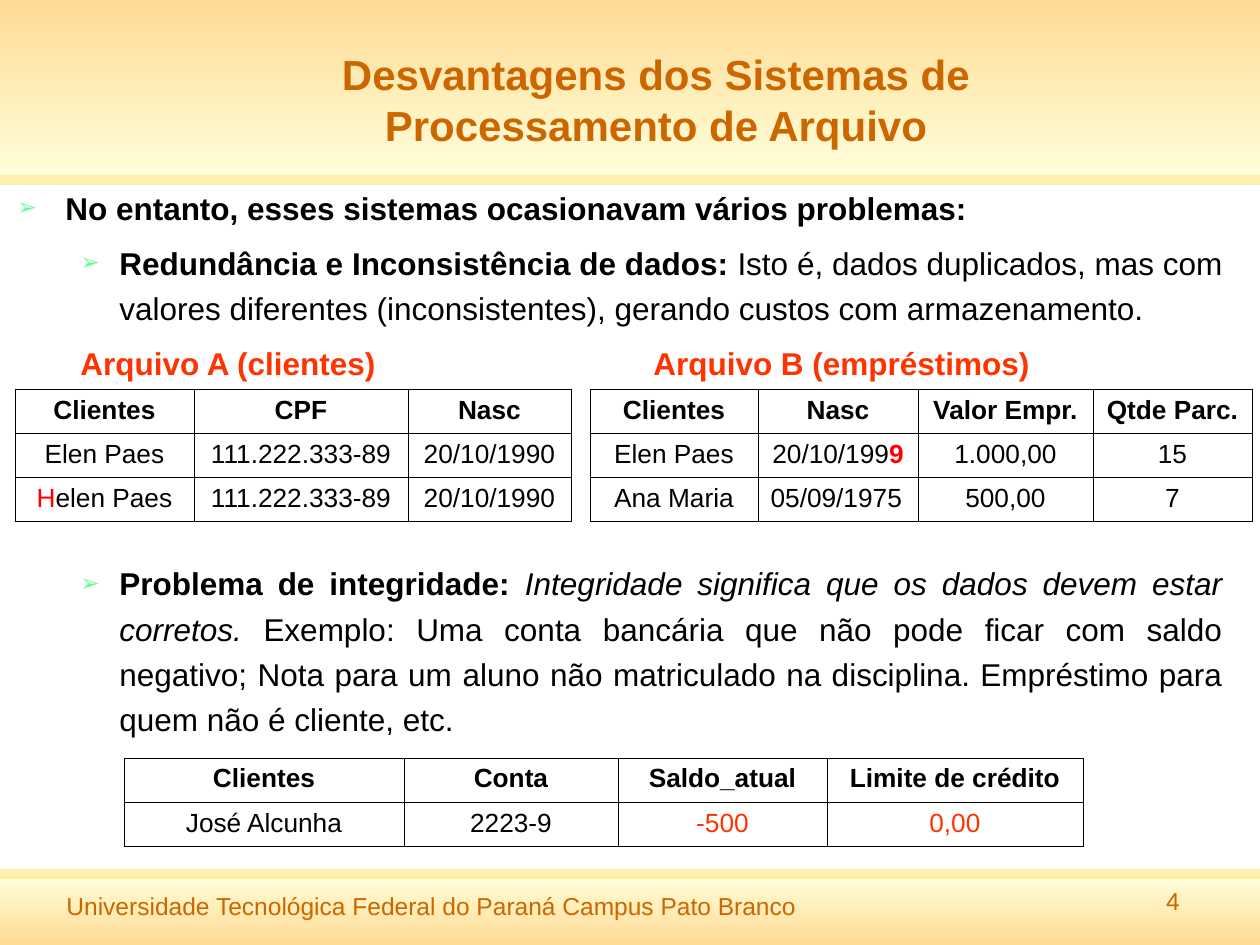
from lxml import etree
from pptx import Presentation
from pptx import util as u
from pptx.dml.color import RGBColor
from pptx.enum import shapes, text
from pptx.oxml.ns import qn

PX = 914400 / 126
FONT = "Arial"
BLACK, BROWN, RED, ORANGE, MINT = "000000", "CC6600", "FF0000", "FF3300", "66FF99"
LEFT, CENTER = text.PP_ALIGN.LEFT, text.PP_ALIGN.CENTER
RIGHT, JUSTIFY = text.PP_ALIGN.RIGHT, text.PP_ALIGN.JUSTIFY

BANDS = [
    ((0, 876, 1260, 69), ["FFFFCC", "FFCC66"], 70),
    ((0, 0, 1260, 175), ["FFCC66", "FFFFCC"], 70),
    ((0, 175, 1260, 10), ["FFCC00"], 31),
    ((0, 869, 1260, 10), ["FFCC00"], 30),
]
LABELS = [
    ((54, 885, 853, 43), "Universidade Tecnológica Federal do Paraná Campus Pato Branco",
     14, False, LEFT, text.MSO_ANCHOR.TOP),
    ((898, 880, 294, 65), "4", 14, False, RIGHT, text.MSO_ANCHOR.TOP),
    ((164, 20, 984, 158), "Desvantagens dos Sistemas de\vProcessamento de Arquivo",
     24, True, CENTER, text.MSO_ANCHOR.MIDDLE),
]
BODY_BOX = (5, 175, 1230, 704)
BODY = [
    (48, -48, True, 5.5, [("No entanto, esses sistemas ocasionavam vários problemas:", "b", BLACK)]),
    (102, -39, True, 5.5, [
        ("Redundância e Inconsistência de dados:", "b", BLACK),
        (" Isto é, dados duplicados, mas com valores diferentes (inconsistentes), "
         "gerando custos com armazenamento.", "", BLACK)]),
    (102, -39, False, 5.5, [("Arquivo A (clientes)", "b", ORANGE)]),
    (102, -39, True, 100, [
        ("Problema de integridade: ", "b", BLACK),
        ("Integridade significa que os dados devem estar corretos. ", "i", BLACK),
        ("Exemplo: Uma conta bancária que não pode ficar com saldo negativo; "
         "Nota para um aluno não matriculado na disciplina. "
         "Empréstimo para quem não é cliente, etc.", "", BLACK)]),
]
LOANS_BOX = (641, 330, 500, 60)
LOANS_CAPTION = [(0, 0, False, 0, [("Arquivo B (empréstimos)", "b", ORANGE)])]

ROW_HEIGHT = 44
TABLES = [
    ((15, 389), [179, 214, 163], [
        ["Clientes", "CPF", "Nasc"],
        ["Elen Paes", "111.222.333-89", "20/10/1990"],
        [[("H", "", RED), ("elen Paes", "", BLACK)], "111.222.333-89", "20/10/1990"]]),
    ((124, 758), [280, 214, 209, 256], [
        ["Clientes", "Conta", "Saldo_atual", "Limite de crédito"],
        ["José Alcunha", "2223-9", [("-500", "", ORANGE)], [("0,00", "", ORANGE)]]]),
    ((590, 389), [168, 160, 175, 159], [
        ["Clientes", "Nasc", "Valor Empr.", "Qtde Parc."],
        ["Elen Paes", [("20/10/199", "", BLACK), ("9", "b", RED)], "1.000,00", "15"],
        ["Ana Maria", "05/09/1975", "500,00", "7"]]),
]
LEFT_ALIGNED = {"05/09/1975"}


def px(value):
    return u.Emu(round(value * PX))


def color(value):
    return RGBColor.from_string(value)


def add_node(parent, tag, **attributes):
    return etree.SubElement(parent, qn(tag), attributes)


def style(span, size, marks, tint):
    span.font.name = FONT
    span.font.size = u.Pt(size)
    span.font.bold = "b" in marks
    span.font.italic = "i" in marks
    span.font.color.rgb = color(tint)


def write(para, spans, size):
    for words, marks, tint in spans:
        span = para.add_run()
        span.text = words
        style(span, size, marks, tint)


def add_band(page, place, tints, opacity):
    band = page.shapes.add_shape(shapes.MSO_SHAPE.RECTANGLE, *map(px, place))
    band.shadow.inherit = False
    band.line.fill.background()
    if len(tints) == 1:
        band.fill.solid()
        band.fill.fore_color.rgb = color(tints[0])
    else:
        band.fill.gradient()
        band.fill.gradient_angle = 270
        for stop, tint, position in zip(band.fill.gradient_stops, tints, (0, 1)):
            stop.color.rgb = color(tint)
            stop.position = position
    for node in band.fill._xPr.iter(qn("a:srgbClr")):
        add_node(node, "a:alpha", val=str(opacity * 1000))


def add_box(page, place):
    box = page.shapes.add_textbox(*map(px, place))
    box.text_frame.word_wrap = True
    return box.text_frame


def add_label(page, place, words, size, bold, align, anchor):
    frame = add_box(page, place)
    frame.vertical_anchor = anchor
    para = frame.paragraphs[0]
    para.text = words
    para.alignment = align
    for span in para.runs:
        style(span, size, "b" if bold else "", BROWN)


def add_body(page, place, paragraphs):
    frame = add_box(page, place)
    for index, (margin, indent, bullet, before, spans) in enumerate(paragraphs):
        para = frame.add_paragraph() if index else frame.paragraphs[0]
        para.alignment = JUSTIFY
        para.line_spacing = 1.2
        para.space_before = u.Pt(before)
        properties = para._p.get_or_add_pPr()
        properties.set("marL", str(px(margin)))
        properties.set("indent", str(px(indent)))
        if bullet:
            add_node(add_node(properties, "a:buClr"), "a:srgbClr", val=MINT)
            add_node(properties, "a:buSzPct", val="75000")
            add_node(properties, "a:buFont", typeface=FONT)
            add_node(properties, "a:buChar", char="➢")
        else:
            add_node(properties, "a:buNone")
        write(para, spans, 18)


def add_borders(cell):
    properties = cell._tc.get_or_add_tcPr()
    for side in "LRTB":
        line = add_node(properties, f"a:ln{side}", w=str(u.Pt(0.45)))
        add_node(add_node(line, "a:solidFill"), "a:srgbClr", val=BLACK)
    add_node(properties, "a:noFill")


def add_grid(page, corner, widths, rows):
    size = (sum(widths), ROW_HEIGHT * len(rows))
    grid = page.shapes.add_table(len(rows), len(widths), *map(px, corner + size)).table
    grid.first_row = grid.horz_banding = False
    for column, width in zip(grid.columns, widths):
        column.width = px(width)
    for r, row in enumerate(rows):
        for c, content in enumerate(row):
            cell = grid.cell(r, c)
            add_borders(cell)
            para = cell.text_frame.paragraphs[0]
            plain = isinstance(content, str)
            para.alignment = LEFT if plain and content in LEFT_ALIGNED else CENTER
            spans = [(content, "" if r else "b", BLACK)] if plain else content
            write(para, spans, 15)


def main():
    deck = Presentation()
    deck.slide_width, deck.slide_height = px(1260), px(945)
    page = deck.slides.add_slide(deck.slide_layouts[6])
    for band in BANDS:
        add_band(page, *band)
    for label in LABELS:
        add_label(page, *label)
    add_body(page, BODY_BOX, BODY)
    add_body(page, LOANS_BOX, LOANS_CAPTION)
    for grid in TABLES:
        add_grid(page, *grid)
    deck.save("out.pptx")


if __name__ == "__main__":
    main()
